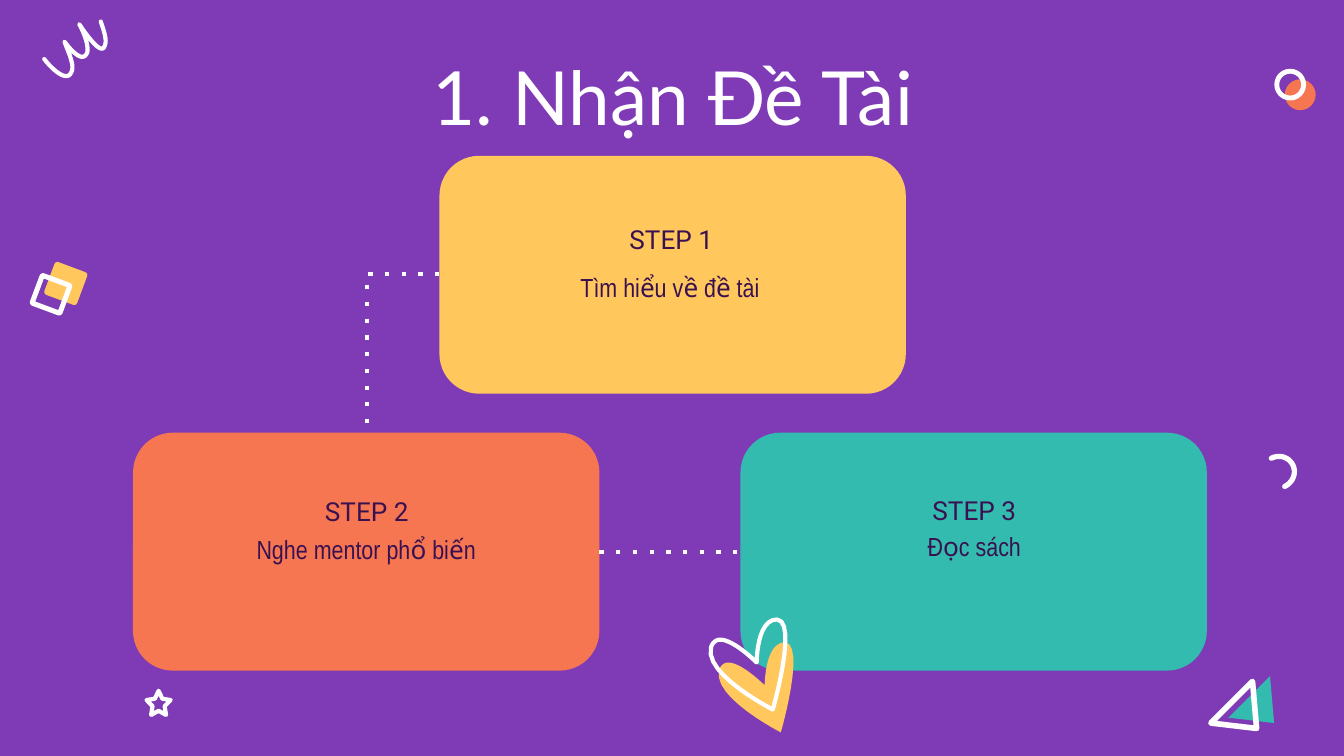
from dataclasses import dataclass

import lxml.etree
import pptx
import pptx.dml.color
import pptx.enum.dml
import pptx.enum.lang
import pptx.enum.shapes
import pptx.enum.text
import pptx.oxml.ns
import pptx.util

Inches = pptx.util.Inches
SHAPE = pptx.enum.shapes.MSO_SHAPE
ANCHOR = pptx.enum.text.MSO_ANCHOR
qn = pptx.oxml.ns.qn


@dataclass(frozen=True)
class Theme:
    purple: str = "7F3BB6"
    yellow: str = "FFC75C"
    orange: str = "F67652"
    teal: str = "33BBAF"
    white: str = "FFFFFF"
    ink: str = "3A1150"
    title_size: int = 40
    body_size: int = 14
    title_font: str = "Lato"
    step_font: str = "Roboto"
    body_font: str = "Arial Narrow"


THEME = Theme()
CARD_W, CARD_H = 3.47, 1.77

HEART = [(5.84, 4.78),
         [(5.69, 4.78), (5.69, 5.1), (5.69, 5.1)],
         [(5.69, 5.1), (5.52, 4.93), (5.42, 4.93)],
         [(5.39, 4.93), (5.36, 4.95), (5.35, 4.99)],
         [(5.3, 5.19), (5.81, 5.45), (5.81, 5.45)],
         [(5.81, 5.45), (6, 4.79), (5.84, 4.78)]]
SQUIGGLE = [(0.33, 0.44),
            [(0.4, 0.53), (0.5, 0.61), (0.53, 0.54)],
            [(0.56, 0.49), (0.51, 0.39), (0.48, 0.31)],
            [(0.54, 0.39), (0.62, 0.47), (0.65, 0.39)],
            [(0.66, 0.34), (0.63, 0.25), (0.59, 0.18)],
            [(0.65, 0.27), (0.76, 0.42), (0.78, 0.34)],
            [(0.8, 0.3), (0.77, 0.22), (0.75, 0.16)]]
CRESCENT = [(9.46, 3.41),
            [(9.52, 3.38), (9.59, 3.4), (9.62, 3.46)],
            [(9.65, 3.52), (9.62, 3.59), (9.56, 3.62)]]
TRIANGLE = [(9.45, 5.03), (9.14, 5.34), (9.48, 5.38)]


def rgb(color):
    return pptx.dml.color.RGBColor.from_string(color)


def style(shape, fill=None, line=None, width=2.25):
    shape.shadow.inherit = False
    if fill:
        shape.fill.solid()
        shape.fill.fore_color.rgb = rgb(fill)
    else:
        shape.fill.background()
    if line:
        shape.line.color.rgb = rgb(line)
        shape.line.width = pptx.util.Pt(width)
        ln = shape.line._get_or_add_ln()
        ln.set("cap", "rnd")
        lxml.etree.SubElement(ln, qn("a:round"))
    else:
        shape.line.fill.background()


def add_preset(s, kind, x, y, w, h, adj=None, rotation=0, **look):
    sp = s.shapes.add_shape(kind, Inches(x), Inches(y), Inches(w), Inches(h))
    if adj is not None:
        sp.adjustments[0] = adj
    sp.rotation = rotation
    style(sp, **look)


def trace(path, steps=12):
    points = [path[0]]
    for curve in path[1:]:
        a, (b, c, d) = points[-1], curve
        for i in range(1, steps + 1):
            t = i / steps
            u = 1 - t
            points.append(tuple(
                u**3 * a[k] + 3 * u * u * t * b[k] + 3 * u * t * t * c[k] + t**3 * d[k]
                for k in (0, 1)))
    return points


def add_outline(s, points, dx=0, dy=0, close=True, **look):
    pts = [(Inches(x + dx), Inches(y + dy)) for x, y in points]
    builder = s.shapes.build_freeform(*pts[0])
    builder.add_line_segments(pts[1:], close=close)
    style(builder.convert_to_shape(), **look)


def add_text(s, text, x, y, w, h, *, font, size=THEME.body_size, color=THEME.ink,
             anchor=ANCHOR.TOP):
    tf = s.shapes.add_textbox(Inches(x), Inches(y), Inches(w), Inches(h)).text_frame
    tf.word_wrap = True
    tf.vertical_anchor = anchor
    tf.margin_left = tf.margin_right = tf.margin_top = Inches(0.1)
    tf.margin_bottom = 0
    p = tf.paragraphs[0]
    p.alignment = pptx.enum.text.PP_ALIGN.CENTER
    r = p.add_run()
    r.text = text
    r.font.name = font
    r.font.size = pptx.util.Pt(size)
    r.font.color.rgb = rgb(color)
    r.font.language_id = pptx.enum.lang.MSO_LANGUAGE_ID.VIETNAMESE


def add_dots(s, x1, y1, x2, y2, preset):
    cxn = s.shapes.add_connector(pptx.enum.shapes.MSO_CONNECTOR.ELBOW,
                                 Inches(x1), Inches(y1), Inches(x2), Inches(y2))
    cxn.line.color.rgb = rgb(THEME.white)
    cxn.line.width = pptx.util.Pt(2.25)
    dash = lxml.etree.SubElement(cxn.line._get_or_add_ln(), qn("a:prstDash"))
    dash.set("val", "dot")
    spPr = cxn._element.spPr
    spPr.find(qn("a:prstGeom")).set("prst", preset)
    lxml.etree.SubElement(spPr, qn("a:effectLst"))


def add_decorations(s):
    t = THEME
    add_preset(s, SHAPE.ROUNDED_RECTANGLE, 0.36, 1.98, 0.26, 0.26, 0.09, 20.4, fill=t.yellow)
    add_preset(s, SHAPE.ROUNDED_RECTANGLE, 0.27, 2.08, 0.22, 0.22, 0.04, 20.4,
               line=t.white, width=2.7)
    add_preset(s, SHAPE.OVAL, 9.56, 0.59, 0.23, 0.23, fill=t.orange)
    add_preset(s, SHAPE.OVAL, 9.5, 0.53, 0.2, 0.2, line=t.white, width=2.6)
    add_outline(s, TRIANGLE, fill=t.teal)
    add_outline(s, TRIANGLE, -0.13, 0.04, line=t.white, width=3)
    add_outline(s, trace(CRESCENT), close=False, line=t.white, width=2.8)
    add_preset(s, SHAPE.STAR_5_POINT, 1.09, 5.14, 0.18, 0.18, 0.25, line=t.white)
    add_outline(s, trace(SQUIGGLE), close=False, line=t.white, width=2.25)


def add_heart(s):
    add_outline(s, trace(HEART), fill=THEME.yellow)
    add_outline(s, trace(HEART), -0.06, -0.17, line=THEME.white)


def add_step(s, number, text, x, y, fill, step_box, text_box):
    add_preset(s, SHAPE.ROUNDED_RECTANGLE, x, y, CARD_W, CARD_H, 0.167, fill=fill)
    add_text(s, f"STEP {number}", *step_box, 0.59,
             font=THEME.step_font, anchor=ANCHOR.MIDDLE)
    add_text(s, text, *text_box, 0.85, font=THEME.body_font)


def main():
    prs = pptx.Presentation()
    prs.slide_width = Inches(10)
    prs.slide_height = prs.slide_width * 9 // 16
    s = prs.slides.add_slide(prs.slide_layouts[6])
    s.background.fill.solid()
    s.background.fill.fore_color.rgb = rgb(THEME.purple)

    add_decorations(s)
    add_text(s, "1. Nhận Đề Tài", 1.03, 0.28, 7.95, 0.6, font=THEME.title_font,
             size=THEME.title_size, color=THEME.white)
    steps = [
        ("Tìm hiểu về đề tài", 3.27, 1.16, THEME.yellow,
         (3.5, 1.43, 2.99), (3.49, 1.92, 2.99)),
        ("Nghe mentor phổ biến", 0.99, 3.22, THEME.orange,
         (1.33, 3.46, 2.8), (1.23, 3.87, 2.99)),
        ("Đọc sách", 5.51, 3.22, THEME.teal,
         (5.85, 3.45, 2.8), (5.85, 3.85, 2.8)),
    ]
    for number, step in enumerate(steps, 1):
        add_step(s, number, *step)
    add_dots(s, 3.27, 2.04, 2.73, 3.22, "bentConnector2")
    add_dots(s, 4.46, 4.11, 5.51, 4.11, "bentConnector3")
    add_heart(s)
    prs.save("out.pptx")


if __name__ == "__main__":
    main()
